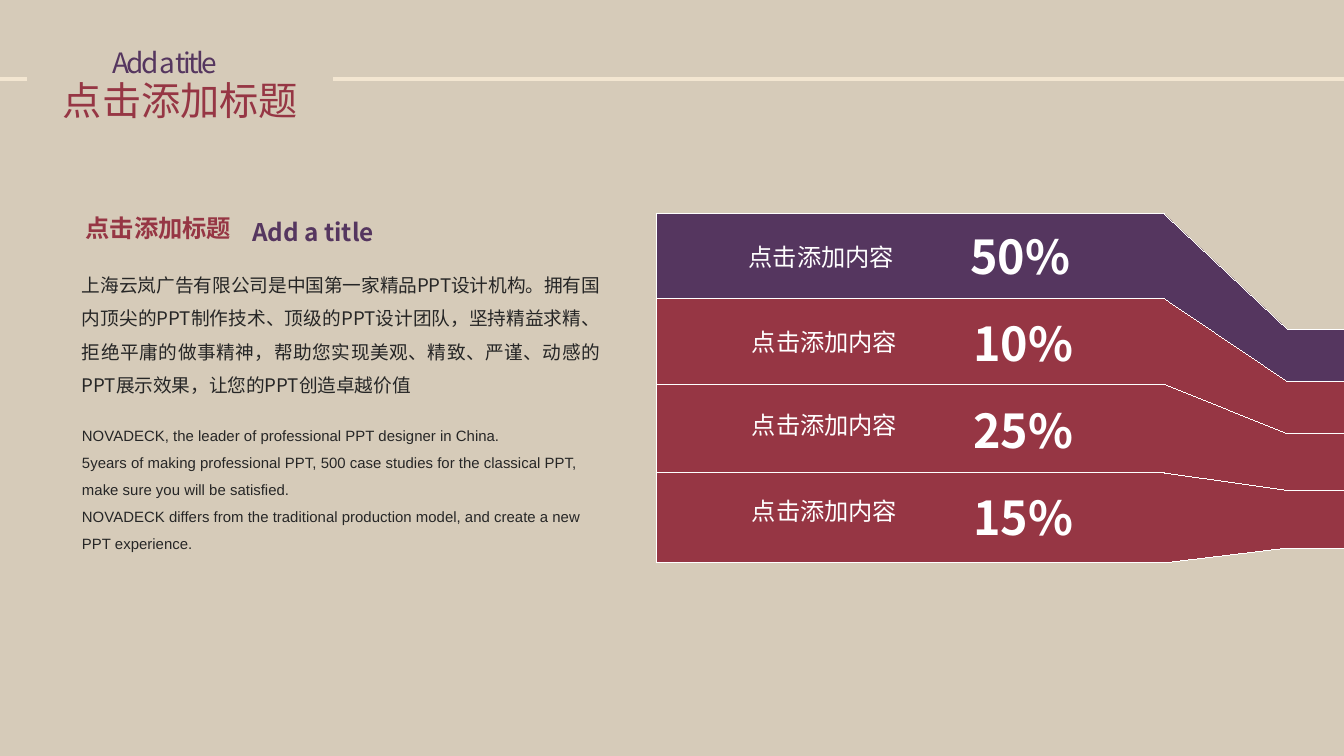
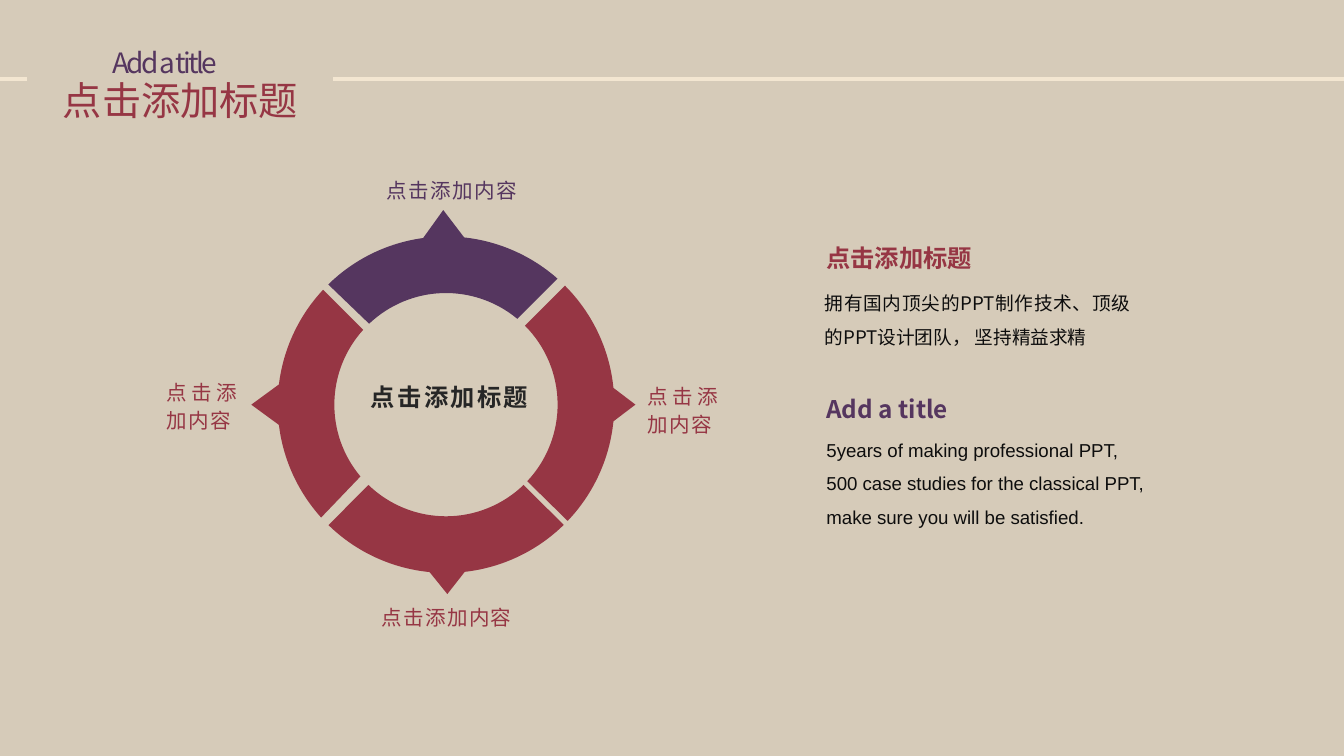
"""Build two slides: a four-band percentage diagram and a four-part ring."""
import math

from lxml import etree
from pptx import Presentation
from pptx.dml.color import RGBColor
from pptx.enum.shapes import MSO_CONNECTOR, MSO_SHAPE
from pptx.enum.text import MSO_ANCHOR, MSO_AUTO_SIZE, PP_ALIGN
from pptx.oxml.ns import qn
from pptx.util import Cm, Pt

LEFT, CENTER, JUSTIFY = PP_ALIGN.LEFT, PP_ALIGN.CENTER, PP_ALIGN.JUSTIFY
TOP = MSO_ANCHOR.TOP
FIXED_SIZE = MSO_AUTO_SIZE.NONE
STRAIGHT = MSO_CONNECTOR.STRAIGHT
RECTANGLE = MSO_SHAPE.RECTANGLE

COLORS = {
    "background": "D6CBB9",
    "rule": "F3E6D1",
    "red": "963644",
    "purple": "55365F",
    "white": "FFFFFF",
    "dark": "262626",
    "black": "0D0D0D",
}
CJK_FONT, LATIN_FONT = "Noto Sans CJK SC", "Arial"
SINGLE, LOOSE = 1.2, 1.8
TITLE, ENGLISH_TITLE, CONTENT = "点击添加标题", "Add a title", "点击添加内容"


def write_text(shape, box, text, size, color, align=JUSTIFY, bold=False,
               font=CJK_FONT, leading=SINGLE, tracking=0):
    """Place a shape and fill it with evenly styled paragraphs."""
    shape.left, shape.top, shape.width, shape.height = (Cm(length) for length in box)
    frame = shape.text_frame
    frame.word_wrap = True
    frame.auto_size = FIXED_SIZE
    frame.vertical_anchor = TOP
    frame.margin_left = frame.margin_right = Cm(0.25)
    frame.margin_top = frame.margin_bottom = Cm(0.13)
    frame.text = text
    for paragraph in frame.paragraphs:
        paragraph.alignment = align
        paragraph.line_spacing = Pt(round(size * leading, 1))
        paragraph.font.size = Pt(size)
        paragraph.font.bold = bold
        paragraph.font.color.rgb = RGBColor.from_string(COLORS[color])
        paragraph.font.name = font
        properties = paragraph._p.pPr.find(qn("a:defRPr"))
        properties.set("spc", str(round(tracking * 100)))
        etree.SubElement(properties, qn("a:ea")).set("typeface", font)


def draw_outline(slide, points, color, curve_starts=()):
    """Draw a filled outline; each curve start turns three points into one curve."""
    vertices = [(Cm(x), Cm(y)) for x, y in points]
    builder = slide.shapes.build_freeform(*vertices[0], scale=1.0)
    builder.add_line_segments(vertices[1:], close=True)
    shape = builder.convert_to_shape()
    shape.shadow.inherit = False
    shape.fill.solid()
    shape.fill.fore_color.rgb = RGBColor.from_string(COLORS[color])
    lines = list(shape._element.iter(qn("a:lnTo")))
    for start in curve_starts:
        curve = etree.Element(qn("a:cubicBezTo"))
        lines[start].addprevious(curve)
        for line in lines[start:start + 3]:
            curve.append(line[0])
            line.getparent().remove(line)
    return shape


presentation = Presentation()
presentation.slide_width, presentation.slide_height = Cm(25.4), Cm(14.29)
background = presentation.slide_master.background.fill
background.solid()
background.fore_color.rgb = RGBColor.from_string(COLORS["background"])

slides = []
for _ in range(2):
    slide = presentation.slides.add_slide(presentation.slide_layouts[5])
    write_text(slide.shapes.title, (0.94, 1.32, 5.26, 1.14), TITLE, 21, "red")
    write_text(slide.shapes.add_textbox(0, 0, 0, 0), (1.88, 0.74, 4.24, 0.89),
               ENGLISH_TITLE, 15, "purple", tracking=-1.5)
    for start, end in ((6.3, 25.5), (-0.76, 0.51)):
        rule = slide.shapes.add_connector(STRAIGHT, Cm(start), Cm(1.5), Cm(end), Cm(1.5))
        rule.line.color.rgb = RGBColor.from_string(COLORS["rule"])
        rule.line.width = Pt(2.25)
        etree.SubElement(rule._element.spPr, qn("a:effectLst"))
    slides.append(slide)
bands_slide, ring_slide = slides

band_left, bend_start, bend_end, band_right = 12.4, 22, 24.33, 26.59
left_edges = [4.04, 5.64, 7.26, 8.94, 10.64]
right_edges = [6.22, 7.21, 8.2, 9.27, 10.36]
bands = [("50%", "purple", 13.9, 4.45), ("10%", "red", 13.96, 6.05),
         ("25%", "red", 13.96, 7.62), ("15%", "red", 13.96, 9.25)]
for index, (percentage, color, label_left, label_top) in enumerate(bands):
    upper_left, lower_left = left_edges[index:index + 2]
    upper_right, lower_right = right_edges[index:index + 2]
    band = draw_outline(bands_slide, [
        (band_left, upper_left), (bend_start, upper_left),
        (bend_end, upper_right), (band_right, upper_right),
        (band_right, lower_right), (bend_end, lower_right),
        (bend_start, lower_left), (band_left, lower_left)], color)
    band.line.color.rgb = RGBColor.from_string(COLORS["white"])
    band.line.width = Pt(0.01)
    texts = [
        ((label_left, label_top, 4.57, 0.81), CONTENT, 13, LEFT, False),
        ((label_left + 4.02, 4.17 + 1.65 * index, 2.72, 1.32), percentage, 25, CENTER, True),
    ]
    for box, text, size, align, bold in texts:
        if index == 0:
            shape = bands_slide.shapes.add_shape(RECTANGLE, 0, 0, 0, 0)
            shape.shadow.inherit = False
            shape.fill.solid()
            shape.fill.fore_color.rgb = RGBColor.from_string(COLORS[color])
            shape.line.fill.background()
        else:
            shape = bands_slide.shapes.add_textbox(0, 0, 0, 0)
        write_text(shape, box, text, size, "white", align, bold)

chinese_text = (
    "上海云岚广告有限公司是中国第一家精品PPT设计机构。拥有国内顶尖的PPT制作技术、"
    "顶级的PPT设计团队，坚持精益求精、拒绝平庸的做事精神，帮助您实现美观、精致、"
    "严谨、动感的PPT展示效果，让您的PPT创造卓越价值")
experience = ("5years of making professional PPT, 500 case studies for the classical PPT, "
              "make sure you will be satisfied.")
english_text = "\n".join([
    "NOVADECK, the leader of professional PPT designer in China.",
    experience,
    "NOVADECK differs from the traditional production model, and create a new PPT experience.",
])
short_text = "拥有国内顶尖的PPT制作技术、顶级的PPT设计团队， 坚持精益求精"

headings = [
    (bands_slide, (1.37, 3.63, 3.45, 1.09), TITLE, "red"),
    (bands_slide, (4.52, 3.71, 3, 0.99), ENGLISH_TITLE, "purple"),
    (ring_slide, (15.37, 4.19, 3.45, 1.09), TITLE, "red"),
    (ring_slide, (15.37, 7.04, 3, 0.99), ENGLISH_TITLE, "purple"),
]
for slide, box, text, color in headings:
    write_text(slide.shapes.add_textbox(0, 0, 0, 0), box, text, 13, color,
               bold=True, leading=LOOSE)

body_texts = [
    (bands_slide, (1.3, 4.83, 10.29, 2.82), chinese_text, 10, "dark", JUSTIFY, CJK_FONT),
    (bands_slide, (1.3, 7.77, 10.29, 2.82), english_text, 8, "dark", LEFT, LATIN_FONT),
    (ring_slide, (15.34, 5.18, 6.27, 1.55), short_text, 10, "black", JUSTIFY, CJK_FONT),
    (ring_slide, (15.37, 7.95, 6.6, 2.18), experience, 10, "black", LEFT, LATIN_FONT),
]
for slide, box, text, size, color, align, font in body_texts:
    write_text(slide.shapes.add_textbox(0, 0, 0, 0), box, text, size, color, align,
               font=font, leading=LOOSE)

write_text(ring_slide.shapes.add_textbox(0, 0, 0, 0), (6.3, 7.09, 4.39, 0.81),
           TITLE, 13, "dark", CENTER, bold=True, tracking=1.3)

center_x, center_y = 8.43, 7.65
outer_radius, inner_radius = 3.18, 2.11
segments = [
    ((48.5, 134.4), (50.3, 133.5), 90.8, 7, 3.68, "purple", (7.06, 3.18, 3.2, 0.79)),
    ((-43.7, 45), (-43.3, 45), 0, 5.7, 3.58, "red", (11.99, 7.06, 1.85, 1.32)),
    ((136.9, 222.1), (137.9, 220), 180, 6.9, 3.68, "red", (2.9, 6.99, 1.85, 1.32)),
    ((225.7, 314.4), (226, 314), 270.4, 6, 3.58, "red", (6.96, 11.25, 3.15, 0.79)),
]
for outer, inner, tip, half_base, tip_radius, color, label_box in segments:
    inner_middle = sum(inner) / 2
    polar_points = []
    for radius, first, last in ((outer_radius, outer[0], tip - half_base),
                                (tip_radius, tip, tip),
                                (outer_radius, tip + half_base, outer[1]),
                                (inner_radius, inner[1], inner_middle),
                                (inner_radius, inner_middle, inner[0])):
        if first == last:
            polar_points.append((radius, first))
            continue
        handle = 4 / 3 * math.tan(math.radians(last - first) / 4)
        handle_radius = radius * math.hypot(1, handle)
        handle_angle = math.degrees(math.atan(handle))
        arc = [(radius, first), (handle_radius, first + handle_angle),
               (handle_radius, last - handle_angle), (radius, last)]
        polar_points += arc[1:] if first == inner_middle else arc
    segment = draw_outline(ring_slide, [
        (center_x + radius * math.cos(math.radians(angle)),
         center_y - radius * math.sin(math.radians(angle)))
        for radius, angle in polar_points], color, (0, 5, 9, 12))
    segment.line.fill.background()
    write_text(ring_slide.shapes.add_textbox(0, 0, 0, 0), label_box, CONTENT, 11, color,
               leading=15 / 11, tracking=0.7)

presentation.save("out.pptx")
